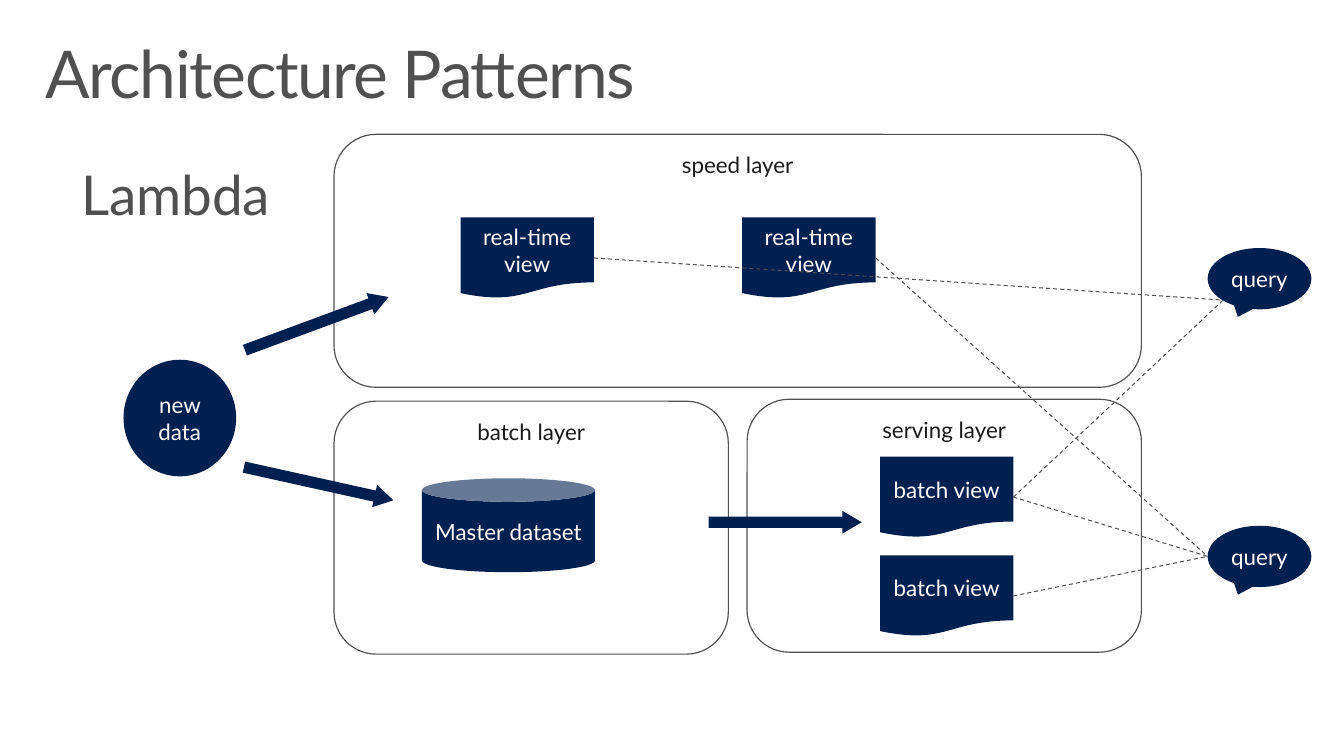
import lxml.etree
import pptx
import pptx.dml.color
import pptx.enum.dml
import pptx.enum.shapes
import pptx.enum.text
import pptx.oxml.ns
import pptx.util

COLS, ROWS = 136, 76.5
CELL = 0.1
FONT = "Lato"
HUES = {"navy": "002050", "gray": "505050", "ink": "1A1A1A", "white": "FFFFFF"}
KIND = pptx.enum.shapes.MSO_SHAPE
ANCHOR = pptx.enum.text.MSO_ANCHOR
ALIGN = pptx.enum.text.PP_ALIGN
VIEW = (13.5, 8.2)


def span(cells):
    """Turn grid cells into a length."""
    return pptx.util.Inches(cells * CELL)


def hue(name):
    """Look up a named colour."""
    return pptx.dml.color.RGBColor.from_string(HUES[name])


def style(para, size, color, align):
    """Set the font and alignment of a paragraph."""
    para.alignment = align
    para.font.name = FONT
    para.font.size = pptx.util.Pt(size)
    para.font.color.rgb = hue(color)


def label(shape, text, color, anchor):
    """Write centred text in a shape."""
    frame = shape.text_frame
    frame.word_wrap = True
    frame.vertical_anchor = anchor
    frame.margin_left = frame.margin_right = 0
    frame.margin_top = frame.margin_bottom = span(0.5)
    frame.text = text
    style(frame.paragraphs[0], 16.3, color, ALIGN.CENTER)


def block(slide, kind, box, text=""):
    """Add a solid navy shape with an optional label."""
    shape = slide.shapes.add_shape(kind, *map(span, box))
    shape.shadow.inherit = False
    shape.fill.solid()
    shape.fill.fore_color.rgb = hue("navy")
    shape.line.fill.background()
    if text:
        label(shape, text, "white", ANCHOR.MIDDLE)
    return shape


def panel(slide, box, text, kind, parts, size, note):
    """Draw a layer and its parts, offset from its corner."""
    frame = block(slide, KIND.ROUNDED_RECTANGLE, box)
    frame.fill.fore_color.rgb = hue("white")
    frame.line.color.rgb = hue("gray")
    frame.line.width = pptx.util.Pt(0.85)
    label(frame, text, "ink", ANCHOR.TOP)
    return [block(slide, kind, (box[0] + x, box[1] + y, *size), note)
            for x, y in parts]


def arrow(slide, box, turn=0):
    """Add a block arrow turned by some degrees."""
    shape = block(slide, KIND.RIGHT_ARROW, box)
    shape.adjustments[1] = 0.85
    shape.rotation = turn


def link(slide, view, query, spot):
    """Join a view's right side to a spot given as shares of a query."""
    x = query.left + int(query.width * spot[0])
    y = query.top + int(query.height * spot[1])
    line = slide.shapes.add_connector(
        pptx.enum.shapes.MSO_CONNECTOR.STRAIGHT, 0, 0, x, y)
    line.begin_connect(view, 3)
    line.line.color.rgb = hue("gray")
    line.line.width = pptx.util.Pt(0.75)
    line.line.dash_style = pptx.enum.dml.MSO_LINE.DASH
    lxml.etree.SubElement(line._element.spPr, pptx.oxml.ns.qn("a:effectLst"))


def head(holder, box, text, size):
    """Place and format a heading placeholder."""
    holder.left, holder.top, holder.width, holder.height = map(span, box)
    frame = holder.text_frame
    frame.word_wrap = True
    frame.auto_size = pptx.enum.text.MSO_AUTO_SIZE.NONE
    frame.vertical_anchor = ANCHOR.TOP
    frame.margin_left = frame.margin_right = span(1.6)
    frame.margin_top = frame.margin_bottom = span(1)
    frame.text = text
    para = frame.paragraphs[0]
    props = para._p.get_or_add_pPr()
    props.set("marL", "0")
    props.set("indent", "0")
    lxml.etree.SubElement(props, pptx.oxml.ns.qn("a:buNone"))
    para.line_spacing = 0.9
    para.space_before = pptx.util.Pt(0)
    style(para, size, "gray", ALIGN.LEFT)
    return para


def lambda_flow(slide, box):
    """Draw the layers, data source, queries and links in a box."""
    left, top, width, height = box
    right = left + width
    wide, tall = 39.9, 25.6
    low = top + height - tall
    fast = panel(slide, (left, top, width, tall), "speed layer",
                 KIND.FLOWCHART_DOCUMENT, [(12.8, 8.4), (41.3, 8.4)],
                 VIEW, "real-time view")
    panel(slide, (left, low, wide, tall), "batch layer",
          KIND.CAN, [(8.9, 7.8)], (17.5, 9.5), "Master dataset")
    slow = panel(slide, (right - wide, low - 0.2, wide, tall),
                 "serving layer", KIND.FLOWCHART_DOCUMENT,
                 [(13.45, 5.8), (13.45, 15.8)], VIEW, "batch view")
    block(slide, KIND.OVAL, (left - 21.3, top + 22.8, 11.4, 11.8), "new data")
    for x, y, turn in [(-9.5, 18, -20.3), (-9.3, 34.2, 12.5), (37.9, 38.1, 0)]:
        arrow(slide, (left + x, top + y, 15.5, 2.3), turn)
    first, last = [block(slide, KIND.OVAL_CALLOUT,
                         (right + 6.7, top + y, 10.5, 6.2), "query")
                   for y in (11.5, 39.6)]
    corner, side = (0.15, 0.85), (0, 0.5)
    for view, query, spot in [(slow[0], first, corner), (slow[1], last, side),
                              (fast[0], first, corner), (fast[1], last, side),
                              (slow[0], last, side)]:
        link(slide, view, query, spot)


def main():
    """Build the slide and save it."""
    deck = pptx.Presentation()
    deck.slide_width, deck.slide_height = span(COLS), span(ROWS)
    slide = deck.slides.add_slide(deck.slide_layouts[1])
    title = head(slide.shapes.title, (3, 3.2, 130, 10),
                 "Architecture Patterns", 48)
    title.runs[0]._r.get_or_add_rPr().set("spc", "-100")
    head(slide.placeholders[1], (6.6, 16, 122.9, 10.6), "Lambda", 40)
    lambda_flow(slide, (33.8, 13.6, 81.7, 52.6))
    deck.save("out.pptx")


if __name__ == "__main__":
    main()
